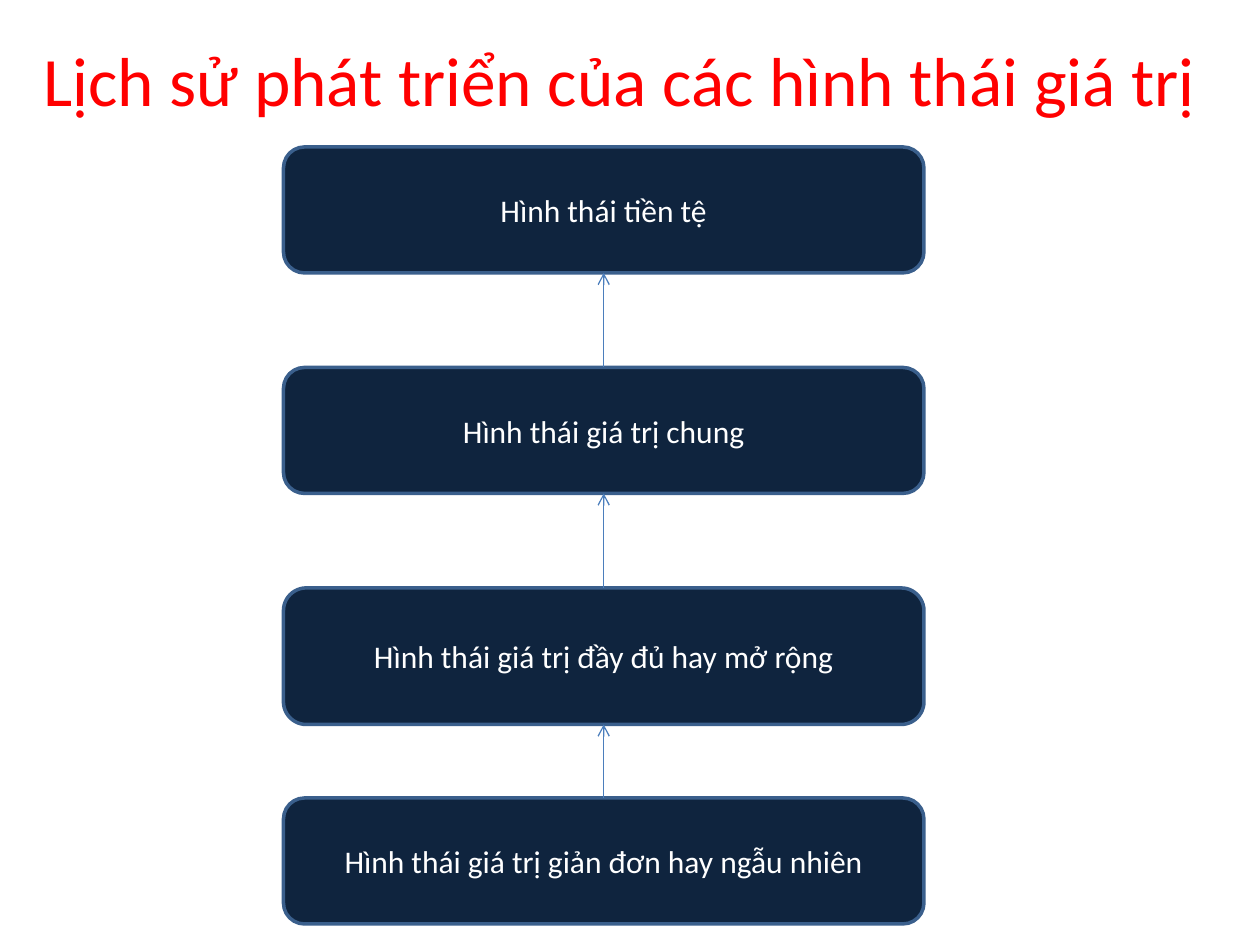
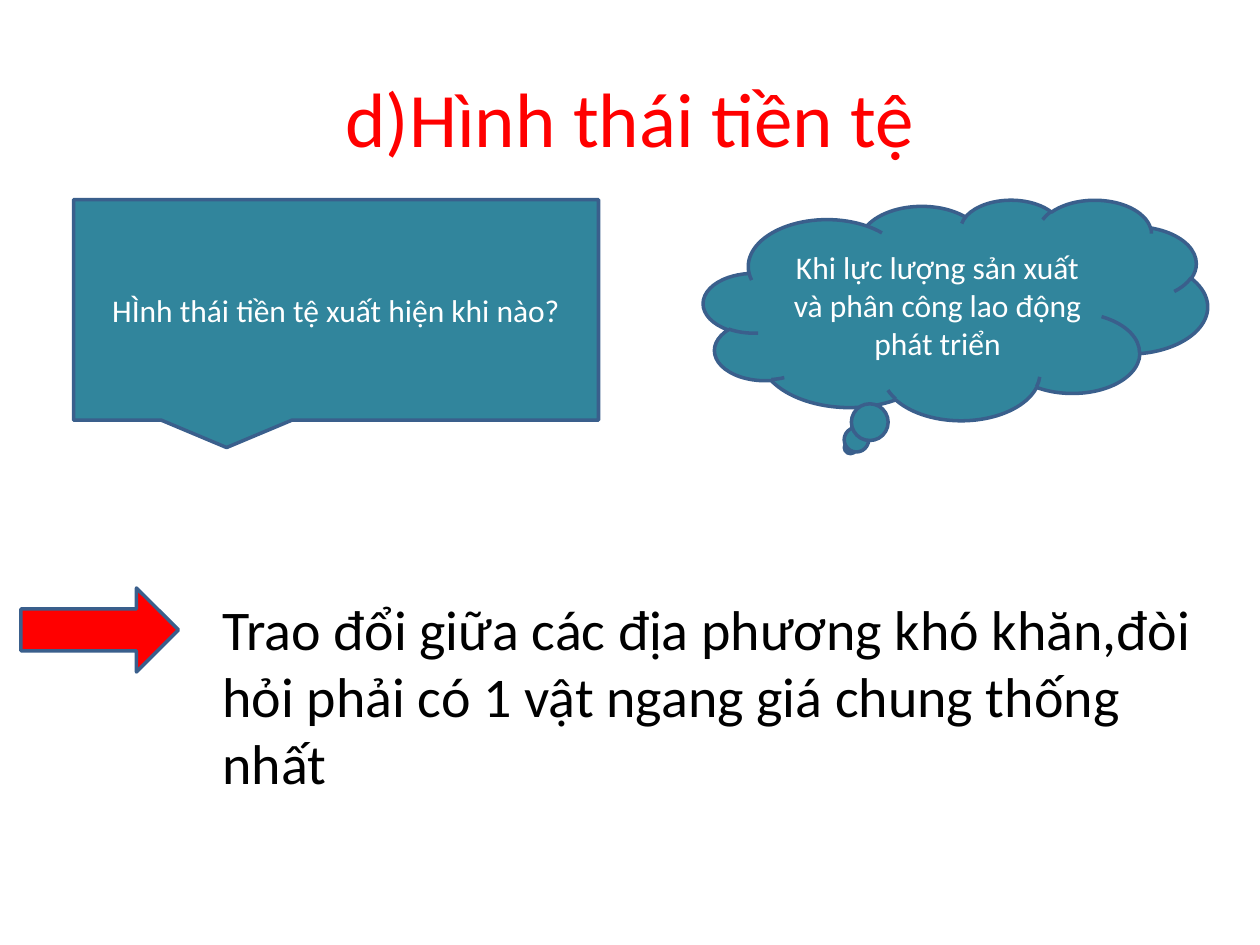
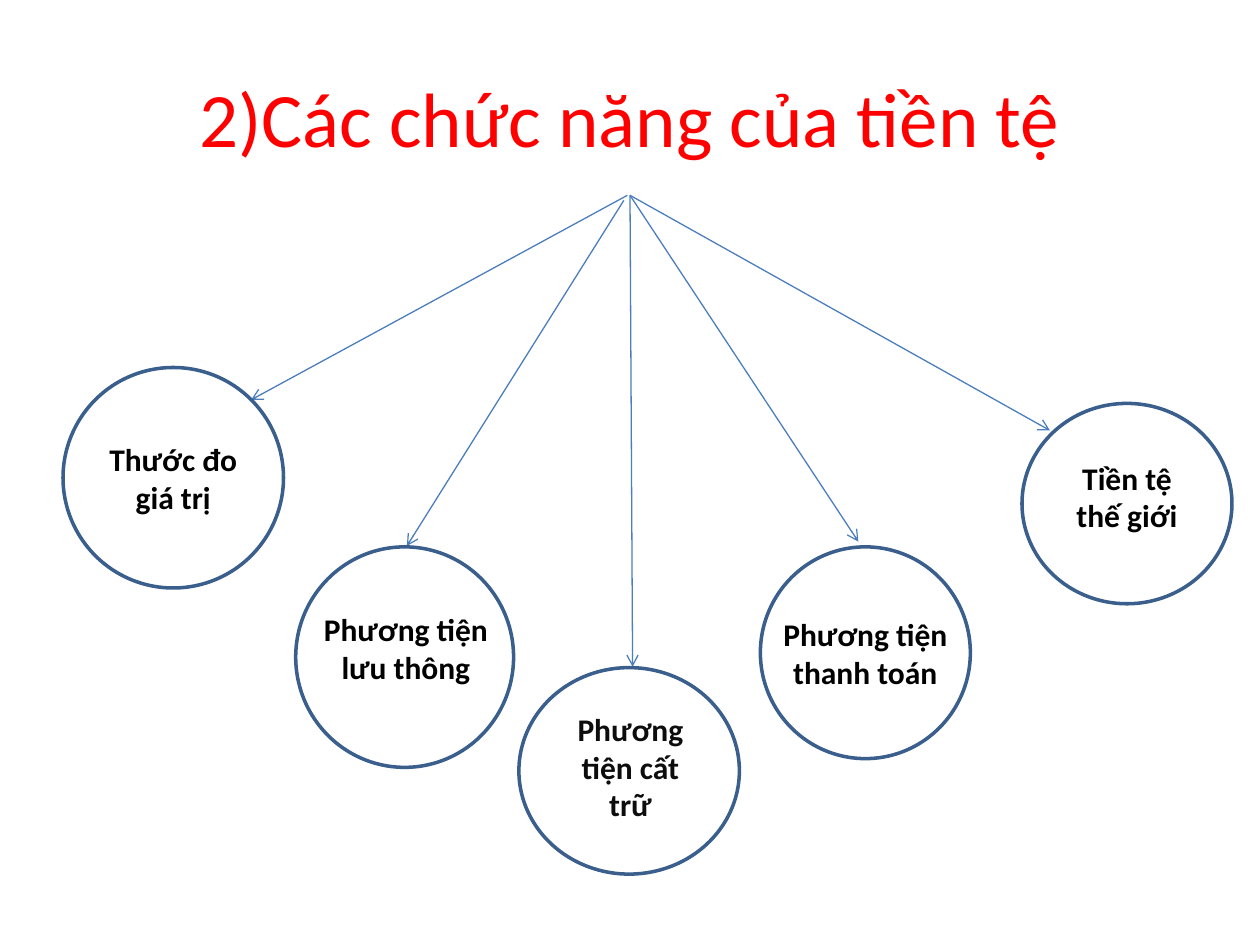
from lxml import etree
from pptx import Presentation
from pptx import util as u
from pptx.dml.color import RGBColor
from pptx.enum import shapes, text
from pptx.oxml.ns import qn

Pt = u.Pt
KIND = shapes.MSO_SHAPE
RED = RGBColor(0xFF, 0x00, 0x00)
NAVY = RGBColor(0x0F, 0x24, 0x3E)
TEAL = RGBColor(0x31, 0x85, 0x9C)
OUTLINE = RGBColor(0x3A, 0x5F, 0x8C)
ARROW = RGBColor(0x4B, 0x7E, 0xBC)
WHITE = RGBColor(0xFF, 0xFF, 0xFF)
BLACK = RGBColor(0x00, 0x00, 0x00)
SOFT_BLACK = RGBColor(0x0D, 0x0D, 0x0D)
CENTER, LEFT = text.PP_ALIGN.CENTER, text.PP_ALIGN.LEFT
MIDDLE, TOP = text.MSO_ANCHOR.MIDDLE, text.MSO_ANCHOR.TOP


def add_item(s, kind, box, words="", size=18, color=WHITE, fill=None,
             bold=False, align=CENTER, anchor=MIDDLE):
    """Add an outlined shape, or a text box when kind is None."""
    box = [Pt(v) for v in box]
    if kind is None:
        sp = s.shapes.add_textbox(*box)
    else:
        sp = s.shapes.add_shape(kind, *box)
        sp.shadow.inherit = False
        sp.line.color.rgb = OUTLINE
        sp.line.width = Pt(2)
        if fill is None:
            sp.fill.background()
        else:
            sp.fill.solid()
            sp.fill.fore_color.rgb = fill
    if words:
        tf = sp.text_frame
        tf.word_wrap = True
        tf.vertical_anchor = anchor
        tf.text = words
        p = tf.paragraphs[0]
        p.alignment = align
        font = p.runs[0].font
        font.name, font.size, font.bold = "Calibri", Pt(size), bold
        font.color.rgb = color
    return sp


def add_arrow(s, x1, y1, x2, y2):
    c = s.shapes.add_connector(shapes.MSO_CONNECTOR.STRAIGHT,
                               Pt(x1), Pt(y1), Pt(x2), Pt(y2))
    c.line.color.rgb = ARROW
    c.line.width = Pt(0.75)
    etree.SubElement(c.line._get_or_add_ln(), qn("a:tailEnd"), type="arrow")
    etree.SubElement(c._element.spPr, qn("a:effectLst"))
    return c


prs = Presentation()
prs.slide_width, prs.slide_height = Pt(720), Pt(540)

# Slides with their titles
TITLE_BOX = (36, 21.6, 648, 90)
slides, titles = [], []
for words, size, box in [
    ("Lịch sử phát triển của các hình thái giá trị", 39.6, (0, 0, 708, 90)),
    ("d)Hình thái tiền tệ", 44, TITLE_BOX),
    ("2)Các chức năng của tiền tệ", 44, TITLE_BOX),
]:
    s = prs.slides.add_slide(prs.slide_layouts[6])
    slides.append(s)
    titles.append(add_item(s, None, box, words, size, RED))

# Slide 1: stages from the newest down to the oldest
s = slides[0]
stages = []
for y, height, words in [
    (84, 72, "Hình thái tiền tệ"),
    (210, 72, "Hình thái giá trị chung"),
    (336, 78, "Hình thái giá trị đầy đủ hay mở rộng"),
    (456, 72, "Hình thái giá trị giản đơn hay ngẫu nhiên"),
]:
    stages.append(add_item(s, KIND.ROUNDED_RECTANGLE, (162, y, 366, height),
                           words, fill=NAVY))
for newer, older in zip(stages, stages[1:]):
    c = add_arrow(s, 0, 0, 0, 0)
    c.begin_connect(older, 0)
    c.end_connect(newer, 2)

# Slide 2: question, answer and conclusion
s = slides[1]
add_item(s, None, (120, 336, 594, 140),
         "Trao đổi giữa các địa phương khó khăn,đòi hỏi phải có 1 vật "
         "ngang giá chung thống nhất", 32, BLACK, align=LEFT, anchor=TOP)
add_item(s, KIND.RECTANGULAR_CALLOUT, (42, 114, 300, 126),
         "HÌnh thái tiền tệ xuất hiện khi nào?", fill=TEAL)
add_item(s, KIND.CLOUD_CALLOUT, (402, 114, 288, 126),
         "Khi lực lượng sản xuất và phân công lao động phát triển", fill=TEAL)
add_item(s, KIND.RIGHT_ARROW, (12, 336, 90, 48), fill=RED)

# Slide 3: arrows from the title to the functions
s = slides[2]
for x, y in [(361.5, 381), (490.5, 309.5), (600, 246)]:
    c = add_arrow(s, 360, 111.6, x, y)
    c.begin_connect(titles[2], 2)
add_arrow(s, 358.5, 111.6, 143.5, 228.5)
add_arrow(s, 356.5, 114.5, 232.5, 312)

# Circles, each with its label
add_item(s, KIND.OVAL, (36, 210, 126, 126), "Thước đo giá trị",
         color=BLACK, bold=True)
for circle, label, words, color in [
    ((169, 312.5, 124.5, 126), (175.5, 345, 113, 73),
     "Phương tiện lưu thông", BLACK),
    ((296.5, 381.5, 126, 118), (316, 402, 88.5, 73),
     "Phương tiện cất trữ", SOFT_BLACK),
    ((434.5, 312.5, 120, 121), (439, 348, 111, 51),
     "Phương tiện thanh toán", BLACK),
    ((584, 230.5, 120, 114.5), (602, 258.5, 84, 51),
     "Tiền tệ thế giới", BLACK),
]:
    add_item(s, KIND.OVAL, circle)
    add_item(s, None, label, words, color=color, bold=True, anchor=TOP)

prs.save("out.pptx")
